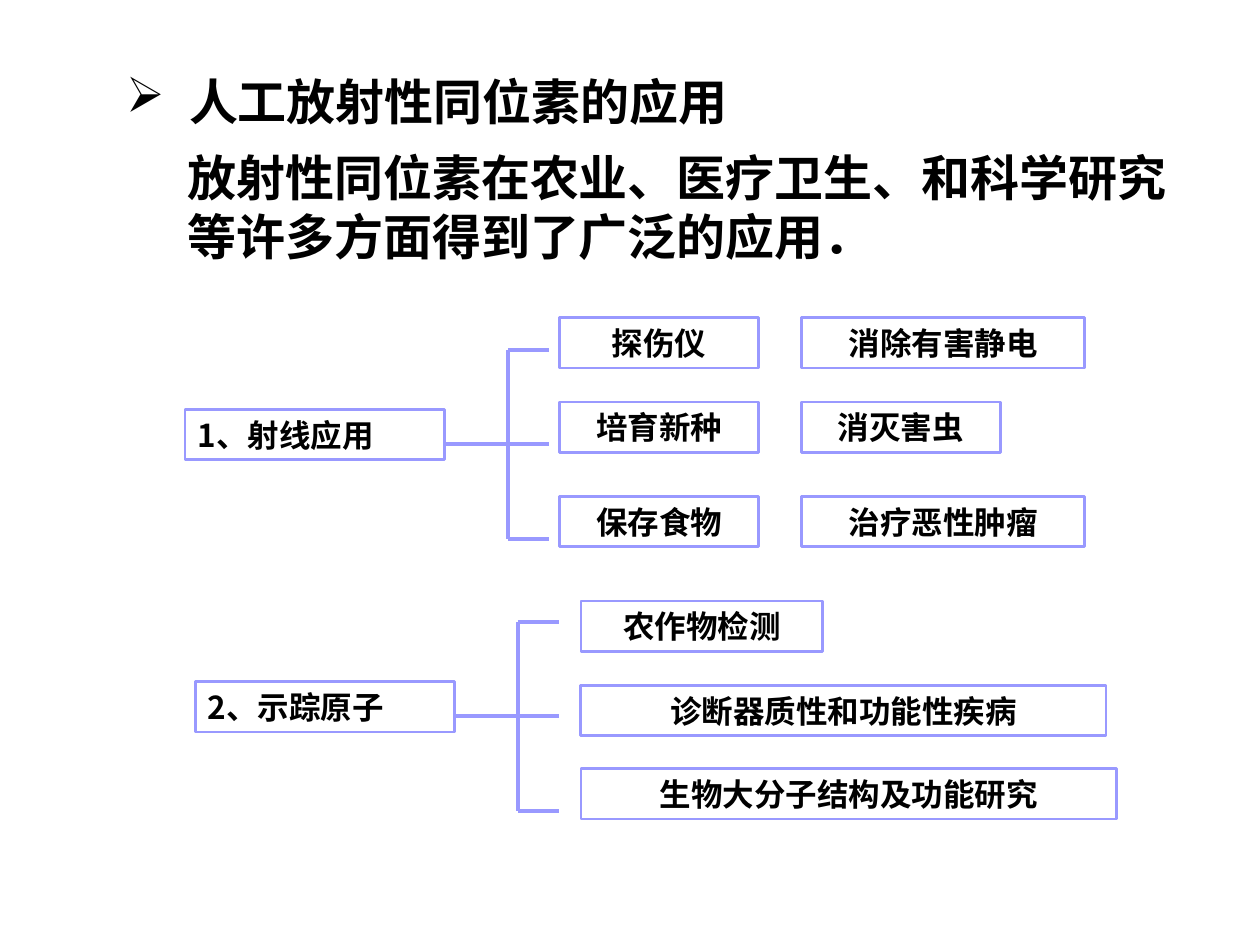
from lxml import etree
from pptx import Presentation
from pptx.dml.color import RGBColor
from pptx.enum.shapes import MSO_CONNECTOR, MSO_SHAPE
from pptx.enum.text import MSO_ANCHOR, MSO_AUTO_SIZE, PP_ALIGN
from pptx.oxml.ns import qn
from pptx.util import Inches, Pt

LEFT, CENTER = PP_ALIGN.LEFT, PP_ALIGN.CENTER
TOP, MIDDLE = MSO_ANCHOR.TOP, MSO_ANCHOR.MIDDLE
RECTANGLE = MSO_SHAPE.RECTANGLE
STRAIGHT = MSO_CONNECTOR.STRAIGHT
NO_AUTOFIT = MSO_AUTO_SIZE.NONE

TITLE = "人工放射性同位素的应用"
SUMMARY = "放射性同位素在农业、医疗卫生、和科学研究等许多方面得到了广泛的应用．"

# Root boxes give left and top; leaves give text, left, top and width.
GROUPS = [
    {"root": ("1、射线应用", 1.47, 3.25),
     "leaves": [("探伤仪", 4.44, 2.52, 1.58), ("消除有害静电", 6.36, 2.52, 2.25),
                ("培育新种", 4.44, 3.19, 1.58), ("消灭害虫", 6.36, 3.19, 1.58),
                ("保存食物", 4.44, 3.94, 1.58), ("治疗恶性肿瘤", 6.36, 3.94, 2.25)]},
    {"root": ("2、示踪原子", 1.55, 5.41),
     "leaves": [("农作物检测", 4.61, 4.77, 1.92),
                ("诊断器质性和功能性疾病", 4.61, 5.44, 4.17),
                ("生物大分子结构及功能研究", 4.61, 6.1, 4.25)]},
]

THEME = {
    "font": "Noto Sans CJK SC",
    "text": RGBColor(0, 0, 0),
    "line": RGBColor(0x99, 0x99, 0xFF),
    "heading_size": Pt(28),
    "box_size": Pt(18),
    "box_line": Pt(1.5),
    "bracket_line": Pt(2.25),
}
ROOT_WIDTH, BOX_HEIGHT = 2.06, 0.4
STEM_DROP, TRUNK_OFFSET, TIP_OFFSET, BRACKET_REACH = 0.275, 0.5, 0.83, 0.75


def write_text(shape, text, size, alignment=LEFT, anchor=TOP):
    frame = shape.text_frame
    frame.text = text
    frame.word_wrap = True
    frame.auto_size = NO_AUTOFIT
    frame.vertical_anchor = anchor
    paragraph = frame.paragraphs[0]
    paragraph.alignment = alignment
    run = paragraph.runs[0]
    run.font.size = size
    run.font.bold = True
    run.font.color.rgb = THEME["text"]
    run.font.name = THEME["font"]
    east_asian = etree.SubElement(run.font._element, qn("a:ea"))
    east_asian.set("typeface", THEME["font"])
    return paragraph


def add_bullet(paragraph, character, indent):
    properties = paragraph._p.get_or_add_pPr()
    properties.set("marL", str(indent))
    properties.set("indent", str(-indent))
    color = etree.SubElement(properties, qn("a:buClr"))
    etree.SubElement(color, qn("a:srgbClr")).set("val", str(THEME["text"]))
    etree.SubElement(properties, qn("a:buChar")).set("char", character)


def add_box(slide, text, left, top, width, alignment):
    box = slide.shapes.add_shape(
        RECTANGLE, Inches(left), Inches(top), Inches(width), Inches(BOX_HEIGHT))
    box.shadow.inherit = False
    box.fill.background()
    box.line.color.rgb = THEME["line"]
    box.line.width = THEME["box_line"]
    write_text(box, text, THEME["box_size"], alignment, MIDDLE)


def add_line(slide, start_x, start_y, end_x, end_y):
    line = slide.shapes.add_connector(
        STRAIGHT, Inches(start_x), Inches(start_y), Inches(end_x), Inches(end_y))
    line.line.color.rgb = THEME["line"]
    line.line.width = THEME["bracket_line"]
    etree.SubElement(line._element.spPr, qn("a:effectLst"))


def add_bracket(slide, start, middle):
    trunk, tip = start + TRUNK_OFFSET, start + TIP_OFFSET
    upper, lower = middle - BRACKET_REACH, middle + BRACKET_REACH
    add_line(slide, start, middle, tip, middle)
    add_line(slide, trunk, upper, trunk, lower)
    for end in (upper, lower):
        add_line(slide, trunk, end, tip, end)


def main():
    presentation = Presentation()
    presentation.slide_width, presentation.slide_height = Inches(10), Inches(7.5)
    slide = presentation.slides.add_slide(presentation.slide_layouts[5])

    title = slide.shapes.title
    title.left, title.top = Inches(0.9), Inches(0.52)
    title.width, title.height = Inches(5.83), Inches(0.57)
    heading = write_text(title, TITLE, THEME["heading_size"])
    add_bullet(heading, "➢", Inches(0.5))

    summary = slide.shapes.add_textbox(
        Inches(1.39), Inches(1.12), Inches(8.25), Inches(1.04))
    write_text(summary, SUMMARY, THEME["heading_size"])

    for group in GROUPS:
        text, left, top = group["root"]
        add_box(slide, text, left, top, ROOT_WIDTH, LEFT)
        add_bracket(slide, left + ROOT_WIDTH, top + STEM_DROP)
        for leaf in group["leaves"]:
            add_box(slide, *leaf, CENTER)

    presentation.save("out.pptx")


if __name__ == "__main__":
    main()
